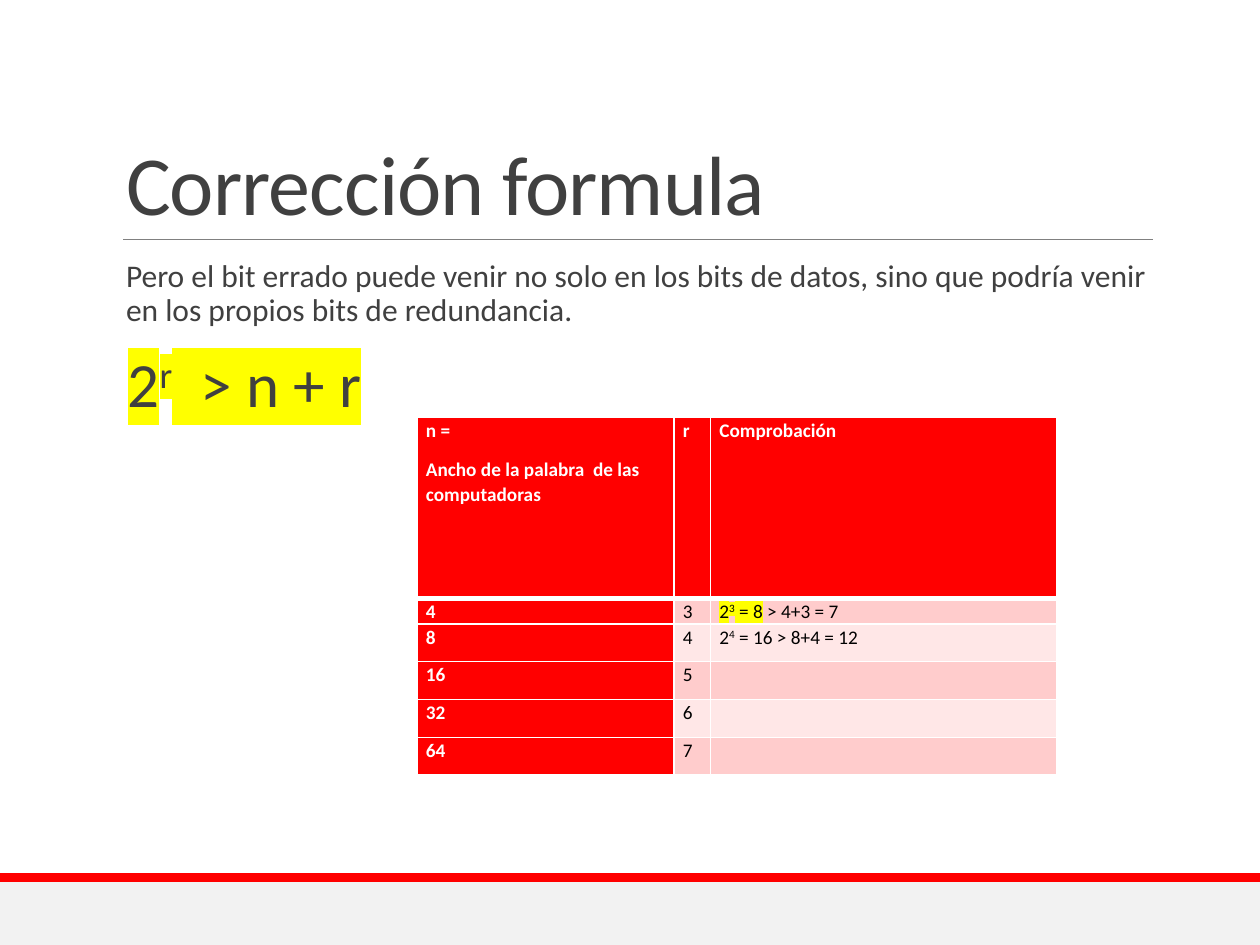
from lxml.etree import SubElement
from pptx import Presentation
from pptx.dml.color import RGBColor
from pptx.enum.shapes import MSO_CONNECTOR, MSO_SHAPE
from pptx.enum.text import MSO_ANCHOR, MSO_AUTO_SIZE, PP_ALIGN
from pptx.oxml.ns import qn
from pptx.util import Emu, Pt

COLORS = {
    "text": "404040", "black": "000000", "white": "FFFFFF", "red": "FF0000",
    "rule": "808080", "band": "F2F2F2", "odd": "FFCCCC", "even": "FFE7E7",
    "mark": "FFFF00",
}
FONT = "Calibri"
PX = 9144  # 100 px to the inch


def px(n):
    return Emu(n * PX)


def rgb(name):
    return RGBColor.from_string(COLORS[name])


class Deck:
    def __init__(self, width, height):
        self.prs = Presentation()
        self.prs.slide_width, self.prs.slide_height = px(width), px(height)
        self.s = self.prs.slides.add_slide(self.prs.slide_layouts[5])

    def run(self, p, text, size, color="text", bold=False, sup=False, mark=False):
        r = p.add_run()
        r.text = text
        r.font.size, r.font.bold, r.font.name = Pt(size), bold, FONT
        r.font.color.rgb = rgb(color)
        rPr = r.font._element
        if sup:
            rPr.set("baseline", "30000")
        if mark:
            highlight = SubElement(rPr, qn("a:highlight"))
            SubElement(highlight, qn("a:srgbClr")).set("val", COLORS["mark"])
            rPr.find(qn("a:solidFill")).addnext(highlight)
        return r

    def frame(self, tf, anchor, margins=(10, 5, 10, 5)):
        tf.word_wrap, tf.auto_size = True, MSO_AUTO_SIZE.NONE
        tf.vertical_anchor = anchor
        (tf.margin_left, tf.margin_top,
         tf.margin_right, tf.margin_bottom) = map(px, margins)

    def title(self, text, x, y, w, h):
        sp = self.s.shapes.title
        sp.left, sp.top, sp.width, sp.height = map(px, (x, y, w, h))
        self.frame(sp.text_frame, MSO_ANCHOR.BOTTOM)
        p = sp.text_frame.paragraphs[0]
        p.alignment, p.line_spacing = PP_ALIGN.LEFT, 0.85
        self.run(p, text, 48).font._element.set("spc", "-50")

    def rect(self, x, y, w, h, color):
        sp = self.s.shapes.add_shape(MSO_SHAPE.RECTANGLE, *map(px, (x, y, w, h)))
        sp.shadow.inherit = False
        sp.fill.solid()
        sp.fill.fore_color.rgb = rgb(color)
        sp.line.fill.background()

    def line(self, x1, y1, x2, y2, color, width):
        cx = self.s.shapes.add_connector(
            MSO_CONNECTOR.STRAIGHT, *map(px, (x1, y1, x2, y2)))
        cx.line.color.rgb, cx.line.width = rgb(color), Pt(width)
        SubElement(cx._element.spPr, qn("a:effectLst"))

    def bullet(self, p, char, indent):
        pPr = p._p.get_or_add_pPr()
        pPr.set("marL", str(px(indent)))
        pPr.set("indent", str(px(-indent)))
        color = SubElement(pPr, qn("a:buClr"))
        SubElement(color, qn("a:srgbClr")).set("val", COLORS["red"])
        SubElement(pPr, qn("a:buFont")).set("typeface", FONT)
        SubElement(pPr, qn("a:buChar")).set("char", char)

    def body(self, paragraphs, x, y, w, h):
        tf = self.s.shapes.add_textbox(*map(px, (x, y, w, h))).text_frame
        self.frame(tf, MSO_ANCHOR.TOP, (0, 5, 0, 5))
        for i, runs in enumerate(paragraphs):
            p = tf.add_paragraph() if i else tf.paragraphs[0]
            p.line_spacing, p.space_after = 0.9, Pt(2)
            p.space_before = Pt(12 if i else 0)
            self.bullet(p, " ", 10)
            for text, style in runs:
                self.run(p, text, **style)

    def border(self, cell, side, width):
        ln = SubElement(cell._tc.get_or_add_tcPr(), qn(f"a:{side}"), w=str(Pt(width)))
        fill = SubElement(ln, qn("a:solidFill"))
        SubElement(fill, qn("a:srgbClr")).set("val", COLORS["white"])

    def cell(self, cell, paragraphs, fill, color, bold, bottom):
        cell.margin_left = cell.margin_right = px(7)
        cell.margin_top = cell.margin_bottom = 0
        for side in ("lnL", "lnR", "lnT", "lnB"):
            self.border(cell, side, bottom if side == "lnB" else 1)
        cell.fill.solid()
        cell.fill.fore_color.rgb = rgb(fill)
        tf = cell.text_frame
        for i, runs in enumerate(paragraphs):
            p = tf.add_paragraph() if i else tf.paragraphs[0]
            p.line_spacing, p.space_after = 1.07, Pt(8)
            for text, style in runs:
                self.run(p, text, 11, color, bold, **style)
        if not paragraphs:
            SubElement(tf.paragraphs[0]._p, qn("a:endParaRPr")).set("sz", "1100")

    def table(self, rows, x, y, widths, heights):
        size = map(px, (x, y, sum(widths), sum(heights)))
        tbl = self.s.shapes.add_table(len(rows), len(widths), *size).table
        for column, w in zip(tbl.columns, widths):
            column.width = px(w)
        for i, (row, h) in enumerate(zip(rows, heights)):
            tbl.rows[i].height = px(h)
            for j, paragraphs in enumerate(row):
                head = i == 0 or j == 0
                fill = "red" if head else "odd" if i % 2 else "even"
                self.cell(tbl.cell(i, j), paragraphs, fill,
                          "white" if head else "black", head, 1 if i else 3)


def plain(*texts):
    return [[(text, {})] for text in texts]


def main():
    deck = Deck(1000, 750)

    # Footer band and title rule
    deck.rect(0, 700, 1000, 50, "band")
    deck.rect(0, 693, 1000, 7, "red")
    deck.line(98, 190, 915, 190, "rule", 0.5)

    # Title and explanation with the formula
    deck.title("Corrección formula", 90, 31, 825, 159)
    formula = {"size": 36, "mark": True}
    deck.body([
        [("Pero el bit errado puede venir no solo en los bits de datos, sino que "
          "podría venir en los propios bits de redundancia.", {"size": 18})],
        [("2", formula), ("r", {**formula, "sup": True}), ("  > n + r", formula)],
    ], 90, 202, 825, 440)

    # Word width, redundancy bits and check
    mark, sup = {"mark": True}, {"sup": True}
    checks = {
        4: [[("2", mark), ("3", {**mark, **sup}), (" = 8", mark), (" > 4+3 = 7", {})]],
        8: [[("2", {}), ("4", sup), (" = 16 > 8+4 = 12", {})]],
    }
    rows = [[plain("n =", "Ancho de la palabra  de las computadoras"),
             plain("r"), plain("Comprobación")]]
    for r in range(3, 8):
        n = 2 ** (r - 1)
        rows.append([plain(str(n)), plain(str(r)), checks.get(n, [])])
    deck.table(rows, 331, 331, [204, 29, 275], [144, 11] + [30] * 4)

    deck.prs.save("out.pptx")


if __name__ == "__main__":
    main()
